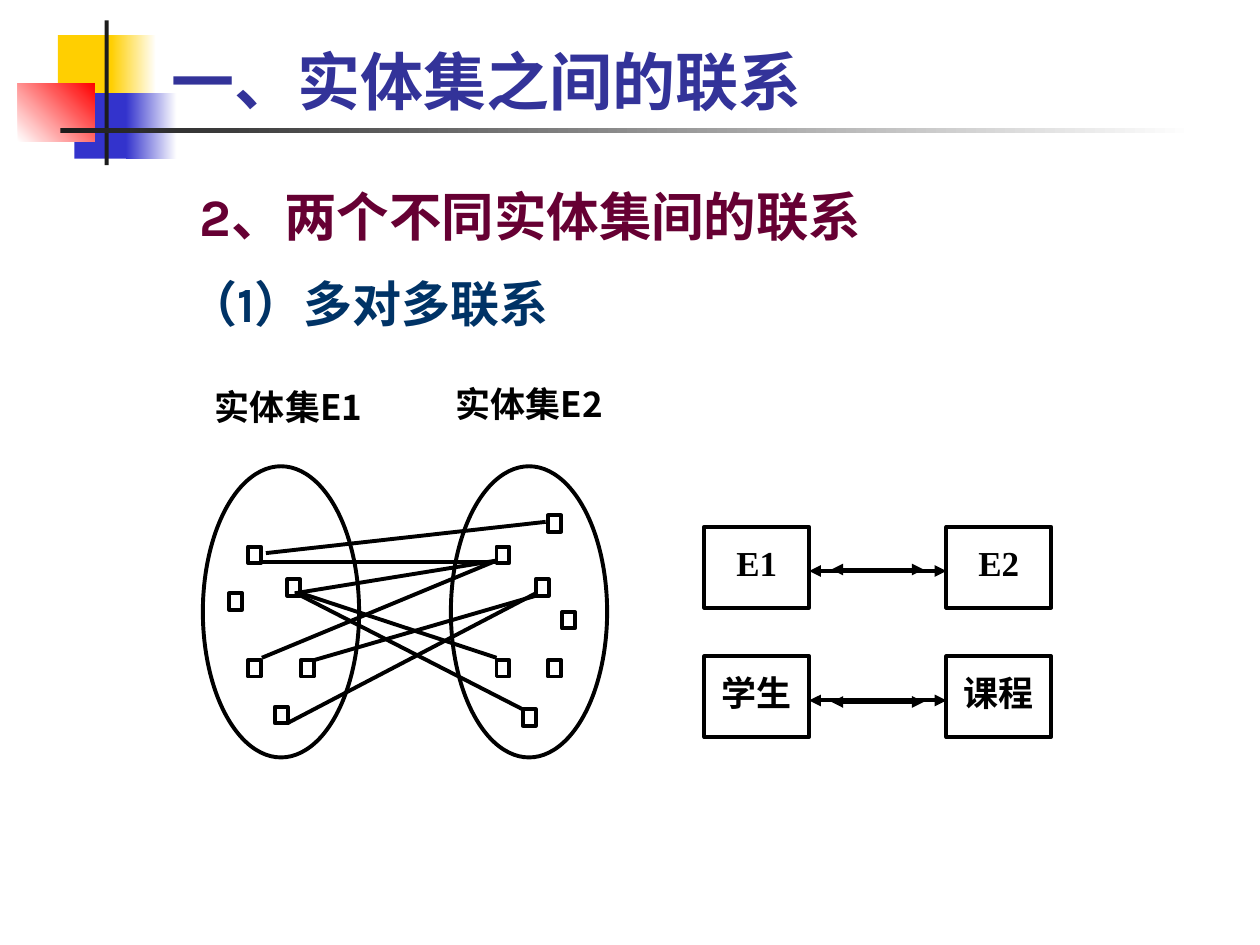
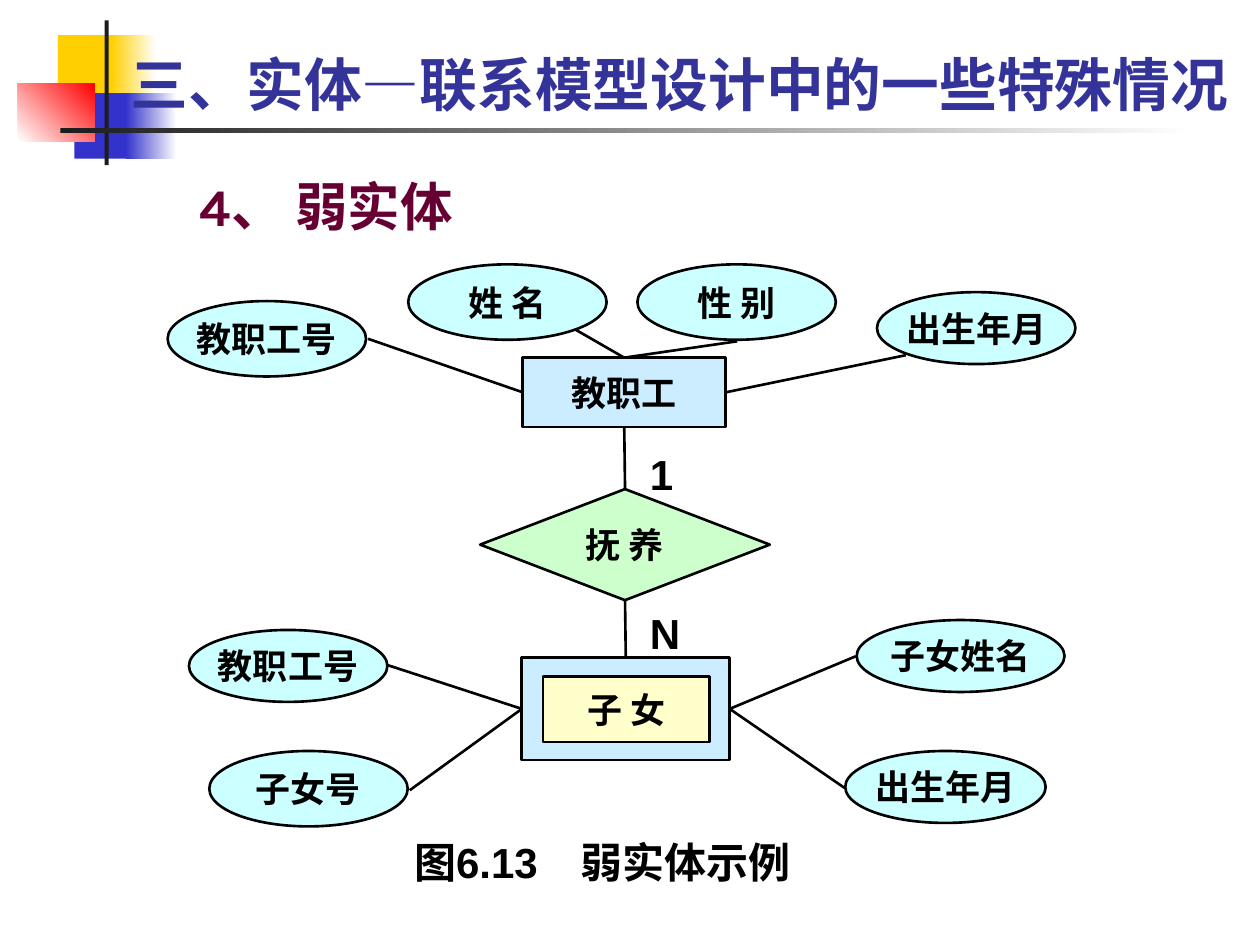
import pptx
import pptx.util
import pptx.dml.color
import pptx.enum.shapes
import pptx.enum.text
import pptx.oxml.ns
from lxml import etree

Cm, Pt = pptx.util.Cm, pptx.util.Pt
SHAPE = pptx.enum.shapes.MSO_SHAPE
ALIGN = pptx.enum.text.PP_ALIGN
ANCHOR = pptx.enum.text.MSO_ANCHOR
qn = pptx.oxml.ns.qn

COLORS = {
    "black": "000000", "white": "FFFFFF", "ink": "1C1C1C",
    "yellow": "FFCF01", "blue": "3333CC", "red": "FF0000",
    "title": "333399", "heading": "660033", "subheading": "003366",
    "entity": "CCECFF", "attribute": "CCFFFF", "relation": "CCFFCC", "weak": "FFFFCC",
}
INSETS = (0.25, 0.13, 0.25, 0.13)


def rgb(name):
    """Return the named colour."""
    return pptx.dml.color.RGBColor.from_string(COLORS[name])


def style(p, size, font, color="black", align=None):
    """Set the bold font and the alignment of a paragraph."""
    p.font.size, p.font.name, p.font.bold = Pt(size), font, True
    p.font.color.rgb = rgb(color)
    p.alignment = align


def frame(sp, insets=INSETS, anchor=ANCHOR.TOP, wrap=True):
    """Prepare the text frame of a shape and return it."""
    tf = sp.text_frame
    tf.word_wrap, tf.vertical_anchor = wrap, anchor
    tf.margin_left, tf.margin_top, tf.margin_right, tf.margin_bottom = map(Cm, insets)
    return tf


def add_text(s, box, text, size, font, color="black", align=None, insets=INSETS):
    """Add a text box with one paragraph and return the paragraph."""
    p = frame(s.shapes.add_textbox(*map(Cm, box)), insets).paragraphs[0]
    p.text = text
    style(p, size, font, color, align)
    return p


def add_shape(s, kind, box, fill=None, width=None):
    """Add a preset shape with an optional fill, gradient pair or outline."""
    sp = s.shapes.add_shape(kind, *map(Cm, box))
    sp.shadow.inherit = False
    if fill is None:
        sp.fill.background()
    elif isinstance(fill, tuple):
        first, last, angle = fill
        sp.fill.gradient()
        sp.fill.gradient_angle = angle
        for stop, name in zip(sp.fill.gradient_stops, (first, last)):
            stop.color.rgb = rgb(name)
    else:
        sp.fill.solid()
        sp.fill.fore_color.rgb = rgb(fill)
    if width:
        sp.line.width = Pt(width)
        sp.line.color.rgb = rgb("black")
    else:
        sp.line.fill.background()
    return sp


def add_node(s, kind, box, text, fill):
    """Add a filled diagram node with a centred label."""
    sp = add_shape(s, kind, box, fill, 1.5)
    p = frame(sp, anchor=ANCHOR.MIDDLE, wrap=False).paragraphs[0]
    p.text = text
    style(p, 20, "Arial", align=ALIGN.CENTER)
    return sp


def add_box(s, left, top, text):
    """Add an outlined entity box."""
    sp = add_shape(s, SHAPE.RECTANGLE, (left, top, 2.11, 1.63), width=2.25)
    p = frame(sp, (0, 0.3, 0, 0)).paragraphs[0]
    p.text = text
    style(p, 20, "Times New Roman", align=ALIGN.CENTER)


def add_line(s, start, stop, width, arrows=False):
    """Add a line whose ends are points or (shape, site) pairs."""
    c = s.shapes.add_connector(pptx.enum.shapes.MSO_CONNECTOR.STRAIGHT, 0, 0, 0, 0)
    if isinstance(start[0], (int, float)):
        c.begin_x, c.begin_y = map(Cm, start)
    else:
        c.begin_connect(*start)
    if isinstance(stop[0], (int, float)):
        c.end_x, c.end_y = map(Cm, stop)
    else:
        c.end_connect(*stop)
    c.line.width = Pt(width)
    c.line.color.rgb = rgb("black")
    if arrows:
        for tag in ("a:headEnd", "a:tailEnd"):
            etree.SubElement(c.line._ln, qn(tag), type="triangle")
    etree.SubElement(c._element.spPr, qn("a:effectLst"))


def add_heading(p, text, size, color, indent, spacing):
    """Fill an indented heading paragraph."""
    p.text = text
    p._p.get_or_add_pPr().set("marL", str(Cm(indent)))
    p.line_spacing = spacing
    style(p, size, "Karla", color)


def add_title(s, left, width, size, runs):
    """Add the slide title from (text, font) runs."""
    sp = s.shapes.add_textbox(Cm(left), Cm(0.2), Cm(width), Cm(2.31))
    p = frame(sp, anchor=ANCHOR.BOTTOM).paragraphs[0]
    style(p, size, "Karla", "title")
    for text, font in runs:
        r = p.add_run()
        r.text = text
        r.font.name = font


def new_slide(prs):
    """Add a blank slide with the shared corner decoration."""
    s = prs.slides.add_slide(prs.slide_layouts[6])
    for box, fill in (
        ((1.17, 0.71, 1.22, 1.32), "yellow"),
        ((2.24, 0.71, 0.91, 1.32), ("yellow", "white", 0)),
        ((1.5, 1.88, 1.17, 1.32), "blue"),
        ((2.54, 1.88, 1.02, 1.32), ("blue", "white", 0)),
        ((0.36, 1.68, 1.55, 1.17), ("white", "red", 45)),
        ((2.11, 0.41, 0.08, 2.92), "ink"),
        ((1.22, 2.59, 22.86, 0.1), ("ink", "white", 0)),
    ):
        add_shape(s, SHAPE.RECTANGLE, box, fill)
    return s


def many_to_many_slide(prs):
    """Build the slide on many-to-many relations."""
    s = new_slide(prs)
    add_title(s, 3.2, 21.64, 36, [("一、实体集之间的联系", "Karla")])
    tf = frame(s.shapes.add_textbox(Cm(1.3), Cm(3.33), Cm(22.81), Cm(14.81)))
    add_heading(tf.paragraphs[0], "2、两个不同实体集间的联系", 30, "heading", 2.48, 1.2)
    p = tf.add_paragraph()
    add_heading(p, "（1）多对多联系", 28, "subheading", 2.25, 1.35)
    p.space_before = Pt(3.5)

    for top, left_name, right_name, outer, inner in (
        (13.23, "学生", "课程", 14.12, 14.15),
        (10.62, "E1", "E2", 11.51, 11.48),
    ):
        add_box(s, 14.2, top, left_name)
        add_box(s, 19.08, top, right_name)
        add_line(s, (16.31, outer), (19.08, outer), 2.25, True)
        add_line(s, (16.76, inner), (18.62, inner), 2.25, True)

    for name, label, oval_left, members in (
        ("实体集E1", (3.71, 7.77), 4.09,
         ((5, 11.02), (5.79, 11.68), (6.07, 13.31), (5, 13.31), (4.62, 11.96), (5.54, 14.25))),
        ("实体集E2", (8.56, 7.72), 9.09,
         ((10.01, 11.02), (10.8, 11.68), (11.05, 13.31), (10.01, 13.31),
          (11.33, 12.34), (11.05, 10.39), (10.54, 14.3))),
    ):
        add_text(s, (*label, 4.22, 1.63), name, 20, "Noto Sans CJK SC",
                 align=ALIGN.CENTER, insets=(0, 0, 0, 0))
        add_shape(s, SHAPE.OVAL, (oval_left, 9.4, 3.15, 5.87), width=2.25)
        for member in members:
            add_shape(s, SHAPE.RECTANGLE, (*member, 0.26, 0.33), width=2.25)

    for start, stop in (
        ((5.36, 11.15), (11, 10.52)),
        ((6.07, 12.01), (10.54, 14.3)),
        ((6.32, 13.31), (10.8, 12.01)),
        ((5.28, 11.33), (10.01, 11.33)),
        ((6.07, 11.96), (10.01, 13.26)),
        ((10.01, 11.3), (5.94, 11.96)),
        ((10.01, 11.3), (5.28, 13.26)),
        ((10.8, 11.96), (5.79, 14.58)),
    ):
        add_line(s, start, stop, 2.25)


def weak_entity_slide(prs):
    """Build the slide on weak entities."""
    s = new_slide(prs)
    add_title(s, 2.39, 22.91, 33, [
        ("三、实体", "Karla"), ("—", "Arial"), ("联系模型设计中的一些特殊情况", "Karla")])
    tf = frame(s.shapes.add_textbox(Cm(1.3), Cm(3.12), Cm(22.81), Cm(2.01)))
    add_heading(tf.paragraphs[0], "4、 弱实体", 30, "heading", 2.48, 1.2)

    p = add_text(s, (8.1, 16.74, 9.53, 1.27), "图6.13\t弱实体示例", 24, "Arial")
    tabs = etree.Element(qn("a:tabLst"))
    etree.SubElement(tabs, qn("a:tab"), pos=str(Cm(3.36)), algn="l")
    p._p.pPr.insert(0, tabs)

    staff = add_node(s, SHAPE.RECTANGLE, (10.54, 7.21, 4.09, 1.4), "教职工", "entity")
    support = add_node(s, SHAPE.FLOWCHART_DECISION, (9.68, 9.86, 5.84, 2.24), "抚 养", "relation")
    child = add_shape(s, SHAPE.RECTANGLE, (10.52, 13.26, 4.19, 2.06), "entity", 1.5)
    add_node(s, SHAPE.RECTANGLE, (10.95, 13.64, 3.35, 1.32), "子 女", "weak")

    for text, box, start, entity, site in (
        ("教职工号", (3.38, 6.07, 4, 1.52), (7.42, 6.83), staff, 1),
        ("姓 名", (8.23, 5.33, 4, 1.52), (11.61, 6.65), staff, 0),
        ("性 别", (12.85, 5.33, 4, 1.52), (14.86, 6.88), staff, 0),
        ("出生年月", (17.68, 5.89, 4, 1.45), (18.26, 7.16), staff, 3),
        ("教职工号", (3.81, 12.7, 4, 1.45), (7.82, 13.41), child, 1),
        ("子女号", (4.22, 15.14, 4, 1.52), (8.26, 15.93), child, 1),
        ("子女姓名", (17.27, 12.5, 4.19, 1.45), (17.25, 13.23), child, 3),
        ("出生年月", (17.04, 15.14, 4.04, 1.45), (17.02, 15.88), child, 3),
    ):
        add_node(s, SHAPE.OVAL, box, text, "attribute")
        add_line(s, start, (entity, site), 1.5)

    add_line(s, (staff, 2), (support, 0), 1.5)
    add_line(s, (support, 2), (child, 0), 1.5)
    for text, top in (("1", 8.92), ("N", 12.12)):
        add_text(s, (12.85, top, 1.88, 1.27), text, 24, "Arial")


def main():
    """Build and save the presentation."""
    prs = pptx.Presentation()
    prs.slide_width, prs.slide_height = Cm(25.4), Cm(19.05)
    many_to_many_slide(prs)
    weak_entity_slide(prs)
    prs.save("out.pptx")


if __name__ == "__main__":
    main()
